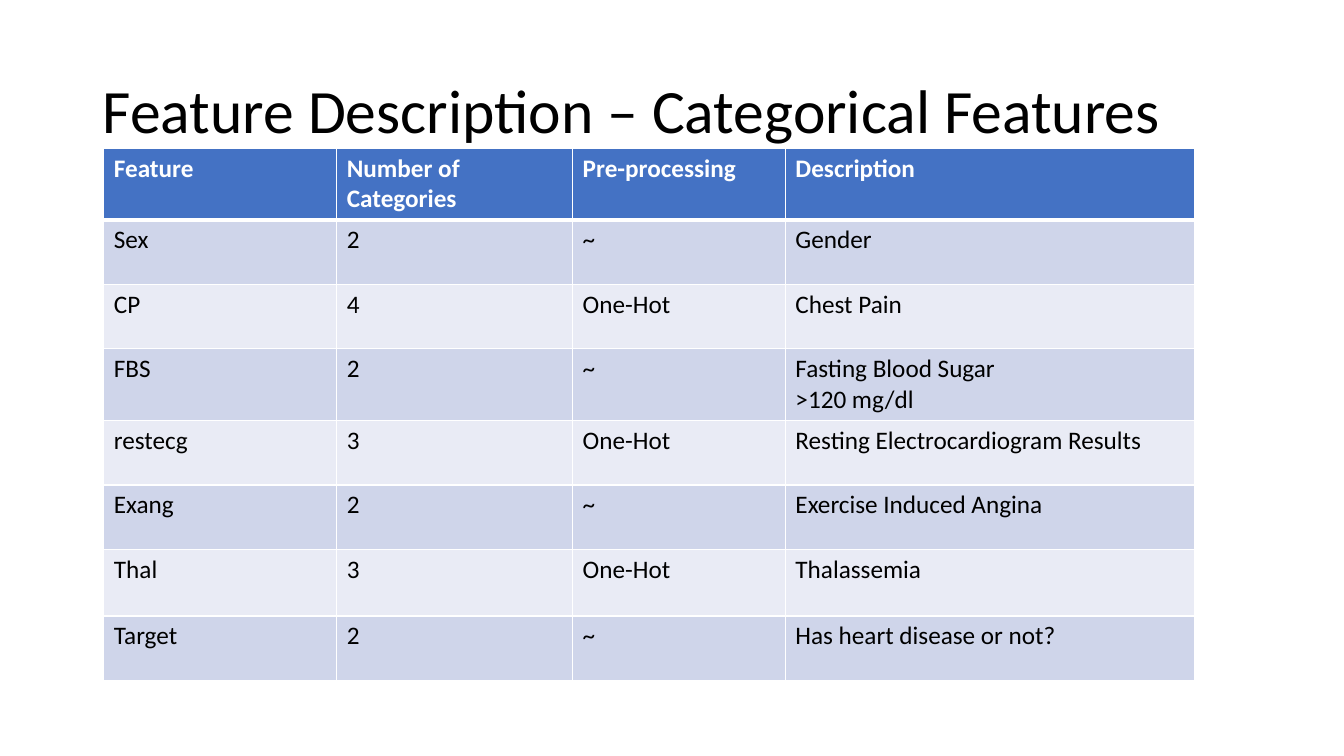
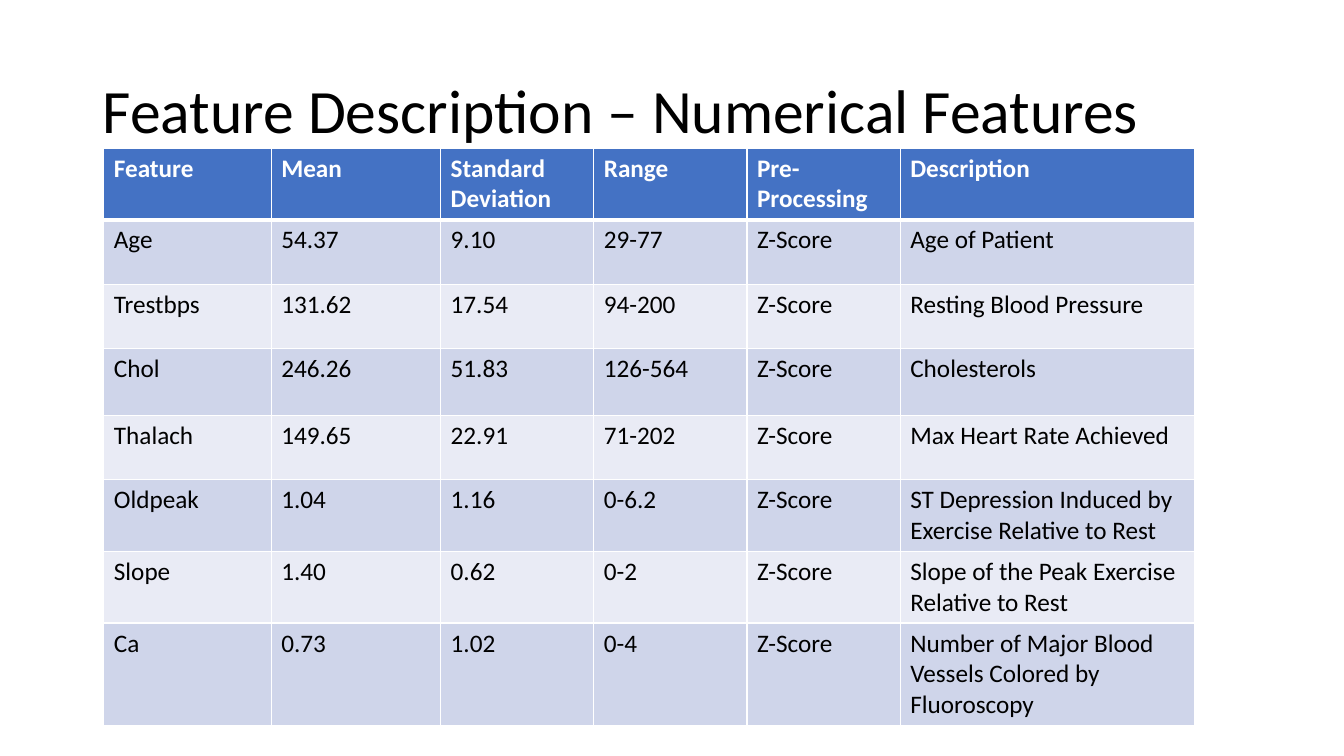
from dataclasses import dataclass

from lxml.etree import SubElement
from pptx import Presentation
from pptx.dml.color import RGBColor
from pptx.enum.text import MSO_ANCHOR, PP_ALIGN
from pptx.oxml.ns import qn
from pptx.util import Inches, Pt


@dataclass(frozen=True)
class Theme:
    font: str = "Calibri"
    title_size: int = 44
    cell_size: int = 18
    text: str = "000000"
    header_text: str = "FFFFFF"
    header_fill: str = "4472C4"
    bands: tuple = ("CFD5EA", "E9EBF5")
    border: str = "FFFFFF"
    thin: int = 1
    thick: int = 3


THEME = Theme()
TITLE_BOX = (0.92, 0.4, 11.5, 1.45)
TABLE_LEFT, TABLE_TOP = 1.03, 1.47
ROW_HEIGHT, TALL_ROW_HEIGHT = 0.64, 0.66

# Content: title, column widths in inches, header row followed by body rows
SLIDES = [
    {
        "title": "Feature Description – Categorical Features",
        "widths": [2.31, 2.34, 2.11, 4.06],
        "rows": [
            ("Feature", "Number of Categories", "Pre-processing", "Description"),
            ("Sex", "2", "~", "Gender"),
            ("CP", "4", "One-Hot", "Chest Pain"),
            ("FBS", "2", "~", "Fasting Blood Sugar\n>120 mg/dl"),
            ("restecg", "3", "One-Hot", "Resting Electrocardiogram Results"),
            ("Exang", "2", "~", "Exercise Induced Angina"),
            ("Thal", "3", "One-Hot", "Thalassemia"),
            ("Target", "2", "~", "Has heart disease or not?"),
        ],
    },
    {
        "title": "Feature Description – Numerical Features",
        "widths": [1.66, 1.68, 1.52, 1.52, 1.52, 2.92],
        "rows": [
            ("Feature", "Mean", "Standard Deviation", "Range", "Pre-Processing", "Description"),
            ("Age", "54.37", "9.10", "29-77", "Z-Score", "Age of Patient"),
            ("Trestbps", "131.62", "17.54", "94-200", "Z-Score", "Resting Blood Pressure"),
            ("Chol", "246.26", "51.83", "126-564", "Z-Score", "Cholesterols"),
            ("Thalach", "149.65", "22.91", "71-202", "Z-Score", "Max Heart Rate Achieved"),
            ("Oldpeak", "1.04", "1.16", "0-6.2", "Z-Score",
             "ST Depression Induced by Exercise Relative to Rest"),
            ("Slope", "1.40", "0.62", "0-2", "Z-Score",
             "Slope of the Peak Exercise Relative to Rest"),
            ("Ca", "0.73", "1.02", "0-4", "Z-Score",
             "Number of Major Blood Vessels Colored by Fluoroscopy"),
        ],
    },
]


def write(tf, text, *, size, color=THEME.text, bold=False, spacing=None):
    """Fill a text frame, one paragraph per line of text."""
    for i, line in enumerate(text.split("\n")):
        p = tf.paragraphs[0] if i == 0 else tf.add_paragraph()
        p.alignment = PP_ALIGN.LEFT
        p.line_spacing = spacing
        r = p.add_run()
        r.text = line
        r.font.name = THEME.font
        r.font.size = Pt(size)
        r.font.bold = bold
        r.font.color.rgb = RGBColor.from_string(color)


def style_cell(cell, row):
    """Draw the borders and fill; the header is ruled off by a thick line."""
    thick_side = {0: "lnB", 1: "lnT"}.get(row)
    tc_pr = cell._tc.get_or_add_tcPr()
    for side in ("lnL", "lnR", "lnT", "lnB"):
        width = THEME.thick if side == thick_side else THEME.thin
        ln = SubElement(tc_pr, qn(f"a:{side}"), w=str(Pt(width)))
        SubElement(SubElement(ln, qn("a:solidFill")), qn("a:srgbClr"), val=THEME.border)
    fill = THEME.bands[(row - 1) % 2] if row else THEME.header_fill
    cell.fill.solid()
    cell.fill.fore_color.rgb = RGBColor.from_string(fill)


def add_feature_table(s, widths, rows):
    # Every third row is slightly taller
    heights = [ROW_HEIGHT if i % 3 else TALL_ROW_HEIGHT for i in range(len(rows))]
    box = (TABLE_LEFT, TABLE_TOP, sum(widths), sum(heights))
    table = s.shapes.add_table(len(rows), len(widths), *map(Inches, box)).table
    for column, width in zip(table.columns, widths):
        column.width = Inches(width)
    for i, (values, height) in enumerate(zip(rows, heights)):
        table.rows[i].height = Inches(height)
        color = THEME.text if i else THEME.header_text
        for j, value in enumerate(values):
            cell = table.cell(i, j)
            style_cell(cell, i)
            write(cell.text_frame, value, size=THEME.cell_size, color=color, bold=i == 0)


def main():
    prs = Presentation()
    prs.slide_width, prs.slide_height = Inches(13.33), Inches(7.5)

    # Shared title position, inherited by both slides
    layout = prs.slide_layouts.get_by_name("Title Only")
    sp = layout.placeholders[0]
    sp.left, sp.top, sp.width, sp.height = map(Inches, TITLE_BOX)
    sp.text_frame.vertical_anchor = MSO_ANCHOR.MIDDLE

    for content in SLIDES:
        s = prs.slides.add_slide(layout)
        write(s.shapes.title.text_frame, content["title"], size=THEME.title_size, spacing=0.9)
        add_feature_table(s, content["widths"], content["rows"])

    prs.save("out.pptx")


if __name__ == "__main__":
    main()
